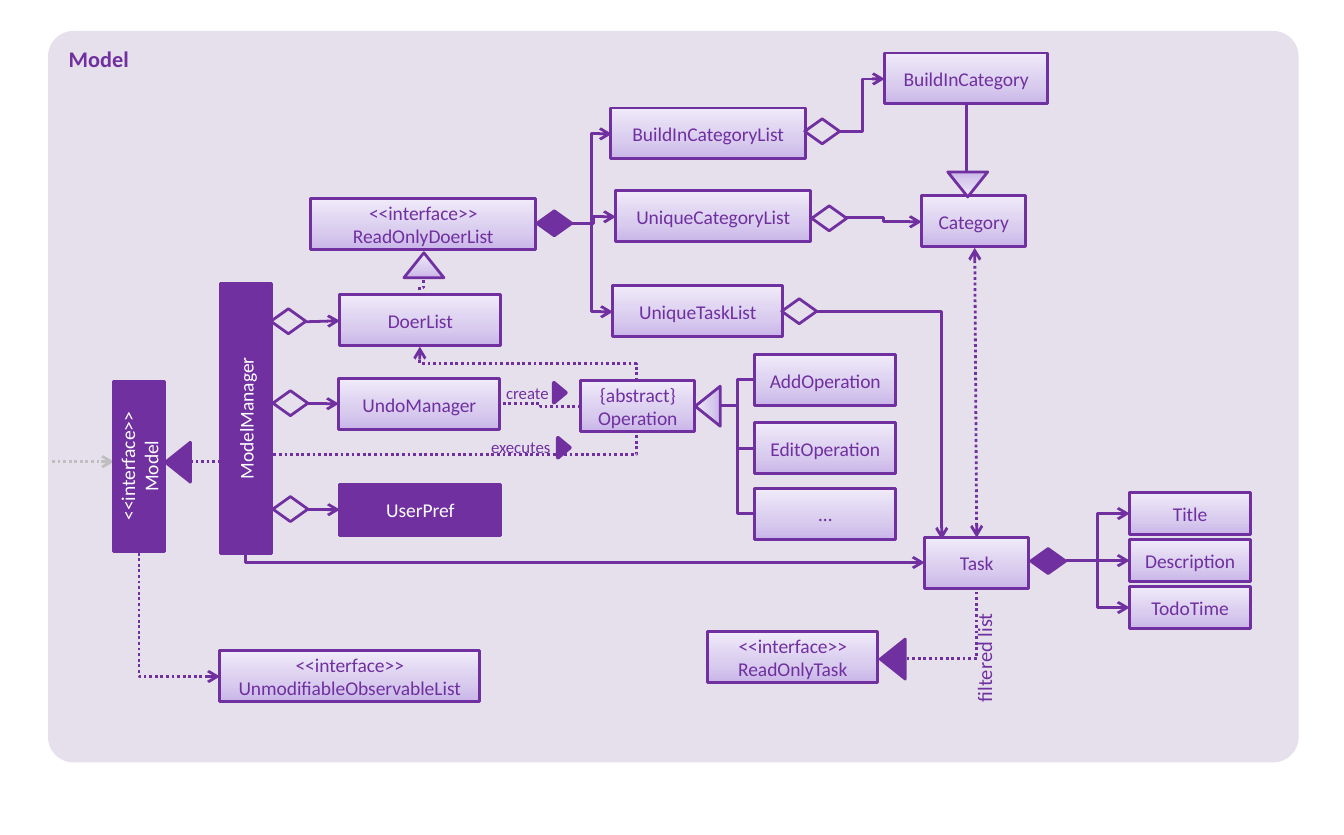
import copy
from lxml import etree
from pptx import Presentation, util as u
from pptx.dml.color import RGBColor
from pptx.enum import dml, shapes, text
from pptx.oxml import ns

PX = 914400 / 133.9
COLORS = {"purple": "7030A0", "panel": "E6E0EC", "grey": "BFBFBF", "white": "FFFFFF"}
GRADIENT = [(0, "C9B5E8"), (0.35, "D8CBEE"), (1, "F0EAF9")]
KIND = shapes.MSO_SHAPE
CENTER = text.PP_ALIGN.CENTER

deck = Presentation()
deck.slide_width, deck.slide_height = u.Inches(10.04), u.Inches(6.24)
page = deck.slides.add_slide(deck.slide_layouts[6])


def add_box(kind, bounds, words="", fill=None, outline=1.5, turn=0,
            size=10.5, color="purple", align=CENTER):
    """Add a preset shape, or a text box when kind is None."""
    bounds = [round(value * PX) for value in bounds]
    if kind is None:
        box = page.shapes.add_textbox(*bounds)
    else:
        box = page.shapes.add_shape(kind, *bounds)
        box.shadow.inherit = False
        if fill is None:
            box.fill.background()
        elif fill == "gradient":
            box.fill.gradient()
            box.fill.gradient_angle = 90
            first = box.fill.gradient_stops[0]._gs
            first.addnext(copy.deepcopy(first))
            for stop, (position, shade) in zip(box.fill.gradient_stops, GRADIENT):
                stop.position = position
                stop.color.rgb = RGBColor.from_string(shade)
        else:
            box.fill.solid()
            box.fill.fore_color.rgb = RGBColor.from_string(COLORS[fill])
        if outline:
            box.line.color.rgb = RGBColor.from_string(COLORS["purple"])
            box.line.width = u.Pt(outline)
        else:
            box.line.fill.background()
    box.rotation = turn
    if words:
        box.text_frame.text = words
        for para in box.text_frame.paragraphs:
            para.alignment = align
            for span in para.runs:
                span.font.name = "Calibri"
                span.font.size = u.Pt(size)
                span.font.color.rgb = RGBColor.from_string(COLORS[color])
    return box


def add_link(route, x1, y1, x2, y2, ends="", dotted=False, color="purple"):
    """Join two points; route names the run of horizontal and vertical legs."""
    if route == "VHV":  # upward route, laid out sideways and then turned
        cx, cy, rise, shift = (x1 + x2) / 2, (y1 + y2) / 2, y1 - y2, x2 - x1
        x1, x2 = cx - rise / 2, cx + rise / 2
        y1, y2 = cy - shift / 2, cy + shift / 2
    kind = shapes.MSO_CONNECTOR.STRAIGHT if route == "line" else shapes.MSO_CONNECTOR.ELBOW
    link = page.shapes.add_connector(kind, *[round(value * PX) for value in (x1, y1, x2, y2)])
    link.line.color.rgb = RGBColor.from_string(COLORS[color])
    link.line.width = u.Pt(1.5)
    if dotted:
        link.line.dash_style = dml.MSO_LINE.ROUND_DOT
    properties = link._element.spPr
    if route == "HV":
        properties.find(ns.qn("a:prstGeom")).set("prst", "bentConnector2")
    if route == "VHV":
        properties.find(ns.qn("a:xfrm")).set("rot", "16200000")
    for end in ends.split():
        etree.SubElement(properties.find(ns.qn("a:ln")), ns.qn(f"a:{end}End"), type="arrow")
    etree.SubElement(properties, ns.qn("a:effectLst"))


# Background panel
panel = add_box(KIND.ROUNDED_RECTANGLE, (48, 31, 1251, 732), "Model", "panel",
                outline=0, size=12, align=text.PP_ALIGN.LEFT)
panel.adjustments[0] = 0.035
panel.text_frame.vertical_anchor = text.MSO_ANCHOR.TOP
panel.text_frame.paragraphs[0].runs[0].font.bold = True

# Fans: lists of the doer list, fields of the task, kinds of operation
for x, y in [(612, 134), (616, 217), (613, 312)]:
    add_link("HVH", 571, 224, x, y, "tail")
for y in (514, 561, 608):
    add_link("HVH", 1066, 561, 1130, y, "tail")
for y in (380, 449, 514):
    add_link("HVH", 755, y, 720, 406)

# Other solid links
for link in [
    ("HVH", 846, 218, 922, 222, "tail"),
    ("HVH", 840, 132, 885, 79, "tail"),
    ("HV", 817, 312, 942, 540, "tail"),
    ("HV", 925, 563, 246, 553, "head"),
    ("line", 305, 322, 340, 321, "tail"),
    ("line", 308, 404, 339, 404, "tail"),
    ("line", 308, 510, 340, 510, "tail"),
    ("line", 967, 104, 967, 173),
]:
    add_link(*link)

# Dotted links
for link in [
    ("HVH", 581, 407, 500, 404),
    ("HV", 220, 677, 139, 552, "head"),
    ("HV", 907, 659, 977, 589),
    ("HV", 268, 455, 637, 432),
    ("VHV", 637, 381, 420, 347, "tail"),
    ("VHV", 420, 296, 424, 279),
    ("line", 190, 462, 222, 462),
    ("line", 977, 538, 975, 248, "head tail"),
]:
    add_link(*link, dotted=True)
add_link("line", 52, 462, 114, 462, "tail", dotted=True, color="grey")

# Solid class boxes
for words, bounds, turn in [
    ("UserPref", (340, 485, 161, 51), 0),
    ("ModelManager", (111, 393, 270, 51), 270),
    ("<<interface>>\nModel", (54, 441, 170, 51), 270),
]:
    add_box(KIND.RECTANGLE, bounds, words, "purple", turn=turn, color="white")

# Gradient class boxes
for words, left, top, width in [
    ("<<interface>>\vReadOnlyDoerList", 311, 199, 225),
    ("DoerList", 340, 295, 161),
    ("UndoManager", 339, 379, 161),
    ("BuildInCategoryList", 611, 108, 195),
    ("UniqueCategoryList", 616, 191, 195),
    ("UniqueTaskList", 613, 286, 170),
    ("BuildInCategory", 885, 53, 163),
    ("Category", 922, 196, 104),
    ("Task", 925, 538, 104),
    ("{abstract}\nOperation", 581, 381, 114),
    ("AddOperation", 755, 355, 141),
    ("EditOperation", 755, 423, 141),
    ("…", 755, 489, 141),
    ("<<interface>>\vReadOnlyTask", 708, 632, 170),
    ("<<interface>>\vUnmodifiableObservableList", 220, 651, 260),
]:
    add_box(KIND.RECTANGLE, (left, top, width, 51), words, "gradient")
for row, words in enumerate(["Title", "Description", "TodoTime"]):
    add_box(KIND.RECTANGLE, (1130, 493 + 47 * row, 121, 42), words, "gradient")

# Aggregation and composition diamonds
for left, top, fill in [
    (271, 309, None), (273, 391, None), (273, 497, None), (805, 119, None),
    (812, 206, None), (782, 299, None), (537, 211, "purple"), (1031, 549, "purple"),
]:
    add_box(KIND.FLOWCHART_DECISION, (left, top, 35, 25), fill=fill)

# Inheritance triangles
for left, top, turn, fill in [
    (158, 450, 270, "purple"), (873, 647, 270, "purple"),
    (404, 253, 0, "gradient"), (948, 172, 180, "gradient"), (688, 394, 270, "gradient"),
]:
    add_box(KIND.ISOSCELES_TRIANGLE, (left, top, 40, 25), fill=fill, turn=turn)

# Link labels with their direction marks
for words, bounds, mark in [
    ("executes", (478, 430, 88, 33), (554, 442)),
    ("create", (493, 376, 71, 33), (550, 387)),
]:
    add_box(KIND.ISOSCELES_TRIANGLE, (*mark, 20, 12), fill="purple", outline=2, turn=90)
    add_box(None, bounds, words, size=9, align=text.PP_ALIGN.LEFT)
filtered = add_box(None, (921, 645, 128, 39), "filtered list", turn=270, size=11,
                   align=text.PP_ALIGN.RIGHT)
filtered.text_frame.word_wrap = True

deck.save("out.pptx")
